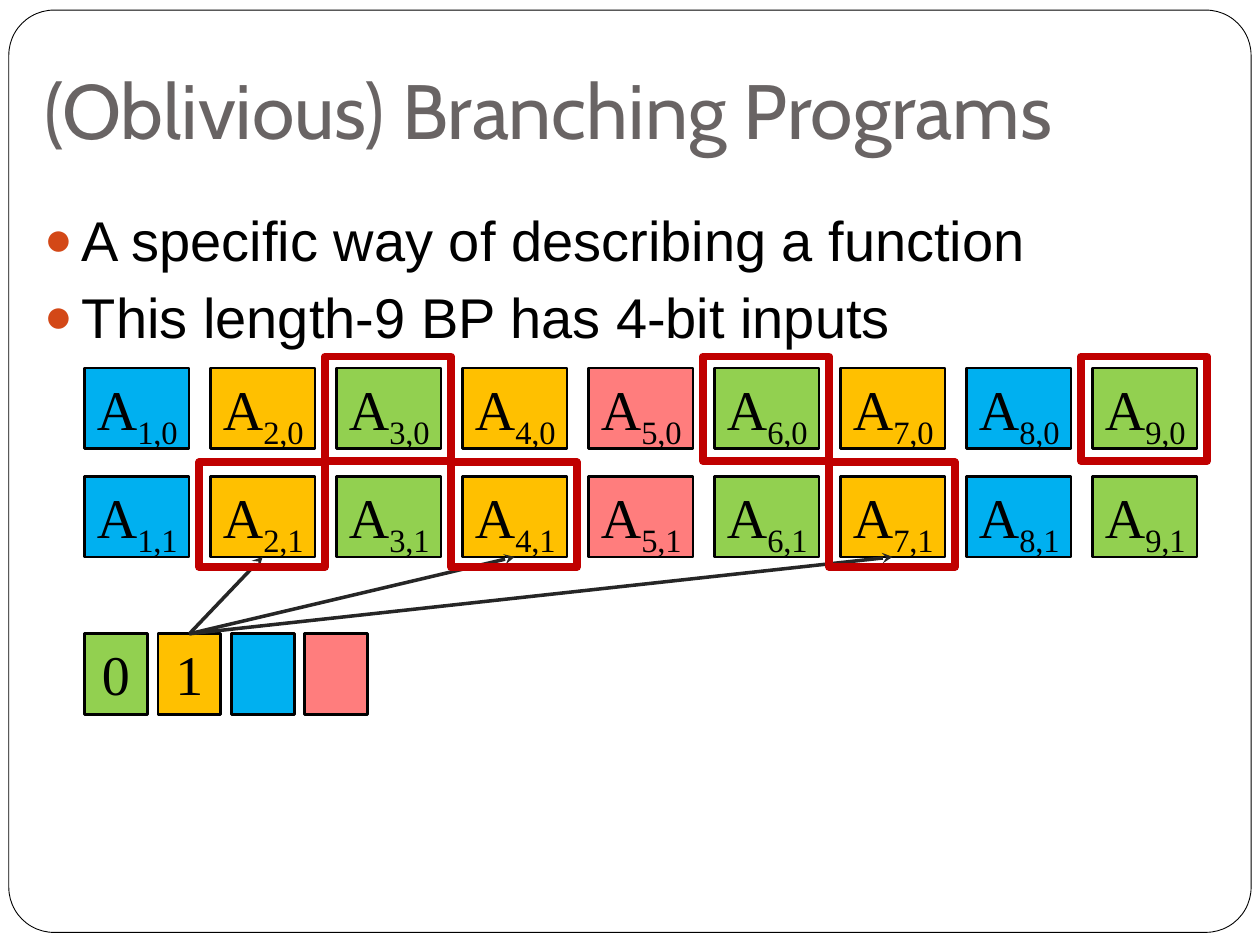
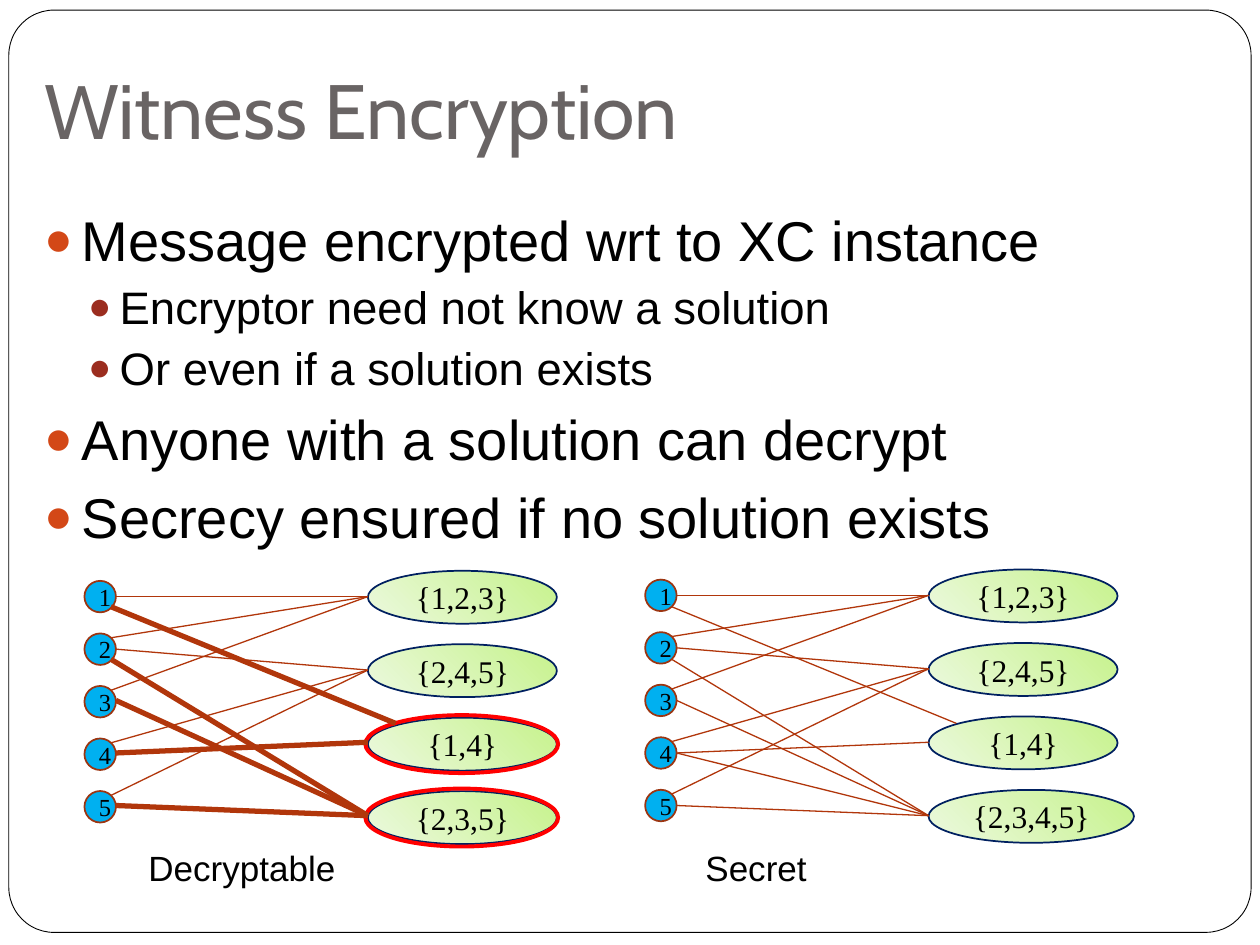
from lxml import etree
from pptx import Presentation
from pptx.dml.color import RGBColor
from pptx.enum import shapes, text
from pptx.oxml.ns import qn
from pptx.util import Inches, Pt

COLORS = {
    "black": "000000", "white": "FFFFFF", "title": "696464",
    "bullet": "D34817", "sub_bullet": "9B2D1F",
    "blue": "00B0F0", "gold": "FFC000", "green": "92D050", "pink": "FF7D7D",
    "selected": "C00000", "arrow": "262626",
    "node_line": "9C3511", "edge": "B1360B", "navy": "002060", "ring": "FF0000",
    "lime": "C6F28C", "pale_lime": "ECF9DE",
}
SANS, SERIF, TITLE_FONT = "Arial", "Times New Roman", "Cabin"
# size, hanging indent, text margin, space before, bullet colour per level
LEVELS = [(32, 0.3, 0.3, 5.8, "bullet"), (26, 0.25, 0.6, 3.7, "sub_bullet")]

INPUT_BITS = ["green", "gold", "blue", "pink"]
PROGRAM = ["blue", "gold", "green", "gold", "pink", "green", "gold", "blue", "green"]


def rgb(name):
    return RGBColor.from_string(COLORS[name])


def format_span(span, size, font=SERIF, color="black"):
    span.font.size = Pt(size)
    span.font.name = font
    span.font.color.rgb = rgb(color)


def place(box, left, top, width, height):
    box.left, box.top = Inches(left), Inches(top)
    box.width, box.height = Inches(width), Inches(height)


# Shared slide parts
def add_frame(deck, page):
    """Draw the rounded frame and move it to the master, behind everything."""
    frame = add_box(page, "ROUNDED_RECTANGLE", 0.07, 0.08, 9.86, 7.32,
                    "white", "black", 0.5)
    frame.adjustments[0] = 0.049
    deck.slide_master.shapes.element.insert(2, frame.element)


def add_bullet(para, color):
    props = para._p.get_or_add_pPr()
    bullet_color = etree.SubElement(props, qn("a:buClr"))
    etree.SubElement(bullet_color, qn("a:srgbClr"), val=COLORS[color])
    etree.SubElement(props, qn("a:buSzPct"), val="85000")
    etree.SubElement(props, qn("a:buFont"), typeface=SANS)
    etree.SubElement(props, qn("a:buChar"), char="●")


def add_page(deck, title, bullets):
    page = deck.slides.add_slide(deck.slide_layouts[1])
    heading, body = page.placeholders

    place(heading, 0.25, 0.08, 9.58, 1.25)
    frame = heading.text_frame
    frame.text = title
    frame.auto_size = text.MSO_AUTO_SIZE.NONE
    frame.vertical_anchor = text.MSO_ANCHOR.BOTTOM
    frame.margin_bottom = Inches(0.1)
    frame.paragraphs[0].alignment = text.PP_ALIGN.LEFT
    format_span(frame.paragraphs[0].runs[0], 44, TITLE_FONT, "title")

    place(body, 0.25, 1.58, 9.58, 5.33)
    frame = body.text_frame
    frame.text = "\n".join(line for _, line in bullets)
    frame.auto_size = text.MSO_AUTO_SIZE.NONE
    for para, (level, _) in zip(frame.paragraphs, bullets):
        size, hang, margin, before, color = LEVELS[level]
        para.level = level
        para.space_before = Pt(before)
        props = para._p.get_or_add_pPr()
        props.set("marL", str(Inches(margin)))
        props.set("indent", str(-Inches(hang)))
        add_bullet(para, color)
        format_span(para.runs[0], size, SANS)
    return page


# Drawing elements
def add_box(page, kind, left, top, width, height, fill, line, weight):
    box = page.shapes.add_shape(getattr(shapes.MSO_SHAPE, kind), Inches(left),
                                Inches(top), Inches(width), Inches(height))
    box.shadow.inherit = False
    if fill:
        box.fill.solid()
        box.fill.fore_color.rgb = rgb(fill)
    else:
        box.fill.background()
    box.line.color.rgb = rgb(line)
    box.line.width = Pt(weight)
    return box


def add_line(page, start, end, color, weight):
    line = page.shapes.add_connector(shapes.MSO_CONNECTOR.STRAIGHT,
                                     *(Inches(value) for value in (*start, *end)))
    line.line.color.rgb = rgb(color)
    line.line.width = Pt(weight)
    etree.SubElement(line._element.spPr, qn("a:effectLst"))
    return line


def add_arrow(page, source, target):
    """Point from the top of one box to the bottom of another."""
    arrow = add_line(page, (0, 0), (1, 1), "arrow", 2)
    arrow.begin_connect(source, 0)
    arrow.end_connect(target, 2)
    etree.SubElement(arrow.line._get_or_add_ln(), qn("a:tailEnd"), type="stealth")


def write_label(box, label, size):
    box.text_frame.text = label
    para = box.text_frame.paragraphs[0]
    para.alignment = text.PP_ALIGN.CENTER
    format_span(para.runs[0], size)


def add_cell(page, left, top, width, fill):
    cell = add_box(page, "RECTANGLE", left, top, width, 0.64, fill, "black", 1.5)
    cell.text_frame.vertical_anchor = text.MSO_ANCHOR.TOP
    return cell


def add_matrix(page, left, top, fill, subscript):
    cell = add_cell(page, left, top, 0.83, fill)
    cell.text_frame.margin_right = 0
    para = cell.text_frame.paragraphs[0]
    para.alignment = text.PP_ALIGN.LEFT
    for part in ("A", subscript):
        span = para.add_run()
        span.text = part
        format_span(span, 32)
    span._r.get_or_add_rPr().set("baseline", "-25000")
    return cell


def add_caption(page, left, width, label):
    box = page.shapes.add_textbox(Inches(left), Inches(6.67),
                                  Inches(width), Inches(0.44))
    box.text_frame.text = label
    box.text_frame.word_wrap = False
    format_span(box.text_frame.paragraphs[0].runs[0], 20, SANS)


# Exact cover graph
def edge_ends(left, top, number, row):
    """Ends of the edge from an element's circle to a set's ellipse."""
    node_y = top + 0.125 + (number - 1) * 0.417
    set_y = top + 0.125 + row * 0.583
    rise = set_y - node_y
    start, end = (left + 0.25, node_y), (left + 2.25, set_y)
    if rise < -0.3:
        start = (left + 0.21, node_y - 0.09)
    elif rise > 1:
        start = (left + 0.21, node_y + 0.09)
        if number == 1:
            end = (left + 2.47, set_y - 0.15)
    return start, end


def add_cover_graph(page, left, top, sets, solution=()):
    for number in range(1, 6):
        node = add_box(page, "OVAL", left, top + (number - 1) * 0.417, 0.25, 0.25,
                       "blue", "node_line", 1)
        write_label(node, str(number), 14)

    set_left = left + 2.25
    set_tops = [top - 0.08 + row * 0.583 for row in range(len(sets))]
    for members, set_top in zip(sets, set_tops):
        width = 1.63 if len(members) > 3 else 1.5
        oval = add_box(page, "OVAL", set_left, set_top, width, 0.42,
                       "lime", "navy", 1)
        oval.fill.gradient()
        oval.fill.gradient_angle = 225
        for stop, color in zip(oval.fill.gradient_stops, ("lime", "pale_lime")):
            stop.color.rgb = rgb(color)
        write_label(oval, "{" + ",".join(map(str, members)) + "}", 18)

    for row, members in enumerate(sets):
        for number in members:
            add_line(page, *edge_ends(left, top, number, row), "edge", 0.75)

    # Rings and heavy edges mark the solution
    for row in solution:
        add_box(page, "OVAL", set_left - 0.02, set_tops[row] - 0.02, 1.53, 0.46,
                None, "ring", 2.25)
    for row in solution:
        for number in sets[row]:
            add_line(page, *edge_ends(left, top - 0.01, number, row), "edge", 3)


# Slides
def build_branching_programs(page):
    matrices = {}
    for bit in (0, 1):
        for step, fill in enumerate(PROGRAM, start=1):
            matrices[step, bit] = add_matrix(page, step - 0.33, 2.92 + bit * 0.86,
                                             fill, f"{step},{bit}")

    inputs = [add_cell(page, 0.67 + place_no * 0.583, 5.03, 0.5, fill)
              for place_no, fill in enumerate(INPUT_BITS)]
    for cell, value in zip(inputs, "01"):
        write_label(cell, value, 32)

    gold_steps = [step for step, fill in enumerate(PROGRAM, 1) if fill == "gold"]
    for step in gold_steps:
        add_arrow(page, inputs[1], matrices[step, 1])

    # Matrices picked by the known input bits
    for bit, known in enumerate(INPUT_BITS[:2]):
        for step, fill in enumerate(PROGRAM, start=1):
            if fill == known:
                add_box(page, "RECTANGLE", step - 0.42, 2.83 + bit * 0.84, 1, 0.83,
                        None, "selected", 4.5)


def build_witness_encryption(page):
    shared = [(1, 2, 3), (2, 4, 5), (1, 4)]
    add_cover_graph(page, 0.67, 4.61, shared + [(2, 3, 5)], solution=(2, 3))
    add_cover_graph(page, 5.12, 4.6, shared + [(2, 3, 4, 5)])
    add_caption(page, 1.08, 1.7, "Decryptable")
    add_caption(page, 5.5, 1.01, "Secret")


def main():
    deck = Presentation()
    deck.slide_width, deck.slide_height = Inches(10), Inches(7.5)

    page = add_page(deck, "(Oblivious) Branching Programs", [
        (0, "A specific way of describing a function"),
        (0, "This length-9 BP has 4-bit inputs"),
    ])
    add_frame(deck, page)
    build_branching_programs(page)

    page = add_page(deck, "Witness Encryption", [
        (0, "Message encrypted wrt to XC instance"),
        (1, "Encryptor need not know a solution"),
        (1, "Or even if a solution exists"),
        (0, "Anyone with a solution can decrypt"),
        (0, "Secrecy ensured if no solution exists"),
    ])
    build_witness_encryption(page)

    deck.save("out.pptx")


if __name__ == "__main__":
    main()
